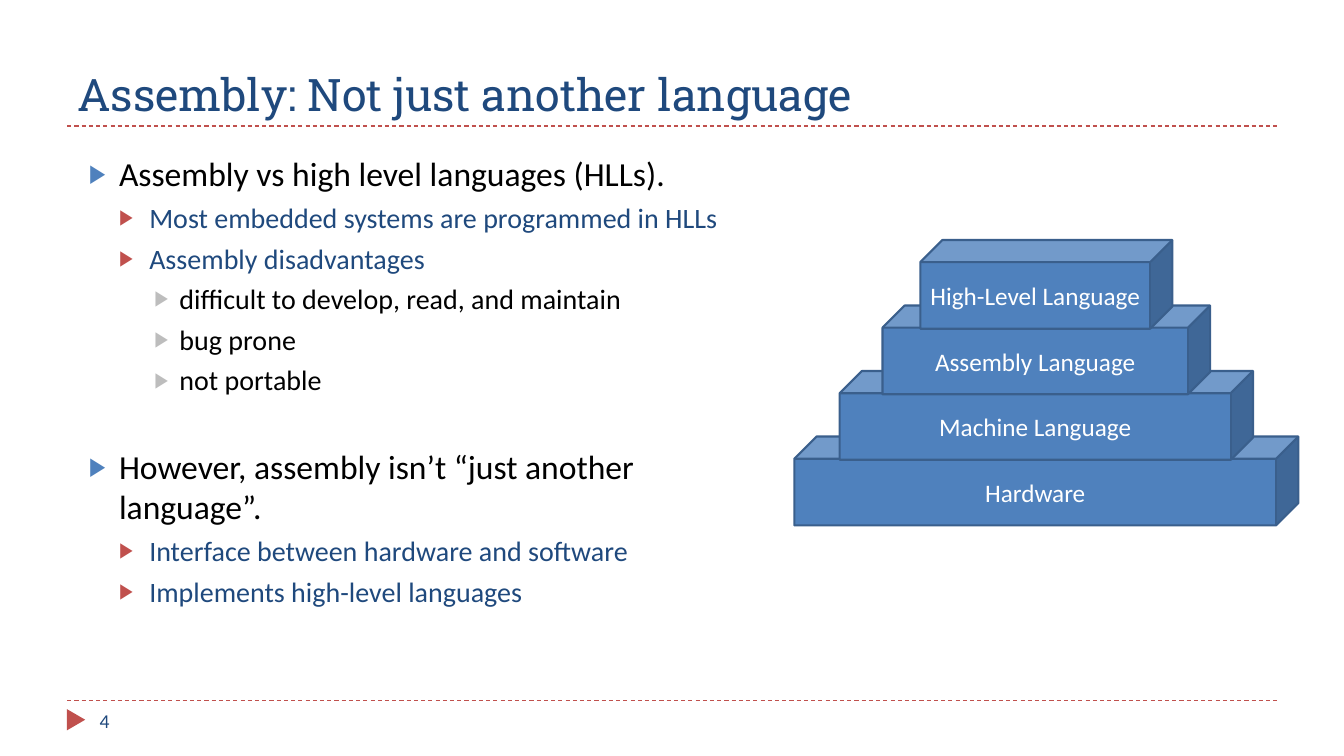
from lxml import etree
from pptx import Presentation
from pptx import util as u
from pptx.dml.color import RGBColor
from pptx.enum import dml, shapes, text
from pptx.oxml import ns

NAVY = RGBColor(0x1F, 0x49, 0x7D)
BLUE = RGBColor(0x4F, 0x81, 0xBD)
EDGE = RGBColor(0x3A, 0x5F, 0x8C)
RED = RGBColor(0xC0, 0x50, 0x4D)
GRAY = RGBColor(0xBD, 0xBD, 0xBD)
BLACK = RGBColor(0, 0, 0)
WHITE = RGBColor(0xFF, 0xFF, 0xFF)

TITLE = "Assembly: Not just another language"
OUTLINE = [
    (0, "Assembly vs high level languages (HLLs)."),
    (1, "Most embedded systems are programmed in HLLs"),
    (1, "Assembly disadvantages"),
    (2, "difficult to develop, read, and maintain"),
    (2, "bug prone"),
    (2, "not portable"),
    (0, "However, assembly isn’t “just another language”."),
    (1, "Interface between hardware and software"),
    (1, "Implements high-level languages"),
]
LEVELS = [
    {"size": 24, "color": BLACK, "bullet": BLUE, "margin": 21.6, "hang": 21.6, "before": 35.4},
    {"size": 20, "color": NAVY, "bullet": RED, "margin": 43.2, "hang": 21.6, "before": 5},
    {"size": 20, "color": BLACK, "bullet": GRAY, "margin": 64.8, "hang": 18, "before": 5},
]
PYRAMID = [
    ("Hardware", 360),
    ("Machine Language", 295.2),
    ("Assembly Language", 234),
    ("High-Level Language", 180),
]
PYRAMID_CENTER = 747.4
PYRAMID_BASE_TOP = 311.8
PYRAMID_STEP = 46.8
CUBE_HEIGHT = 63.4


def write(paragraph, words, size=18, color=BLACK, font="Calibri",
          align=text.PP_ALIGN.LEFT, before=0, bullet=None, margin=0, hang=0):
    paragraph.alignment = align
    paragraph.space_before = u.Pt(before)
    if bullet is not None:
        properties = paragraph._p.get_or_add_pPr()
        properties.set("marL", str(u.Pt(margin)))
        properties.set("indent", str(-u.Pt(hang)))
        bullet_color = etree.SubElement(properties, ns.qn("a:buClr"))
        etree.SubElement(bullet_color, ns.qn("a:srgbClr"), val=str(bullet))
        etree.SubElement(properties, ns.qn("a:buSzPct"), val="76000")
        etree.SubElement(properties, ns.qn("a:buChar"), char="▶")
    run = paragraph.add_run()
    run.text = words
    run.font.name = font
    run.font.size = u.Pt(size)
    run.font.color.rgb = color


class SlideBuilder:
    def __init__(self, slide):
        self.slide = slide

    def place(self, shape, left, top, width, height, anchor):
        shape.left, shape.top = u.Pt(left), u.Pt(top)
        shape.width, shape.height = u.Pt(width), u.Pt(height)
        frame = shape.text_frame
        frame.word_wrap = True
        frame.auto_size = text.MSO_AUTO_SIZE.NONE
        frame.vertical_anchor = anchor
        return frame

    def title(self, words):
        frame = self.place(self.slide.shapes.title, 48, 12, 864, 78, text.MSO_ANCHOR.BOTTOM)
        write(frame.paragraphs[0], words, size=32, color=NAVY, font="Roboto Slab")

    def outline(self, items):
        frame = self.place(self.slide.placeholders[1], 56.2, 105.8, 495.4, 383, text.MSO_ANCHOR.TOP)
        for index, (level, words) in enumerate(items):
            paragraph = frame.add_paragraph() if index else frame.paragraphs[0]
            paragraph.level = level
            style = dict(LEVELS[level])
            if index == 0:
                style["before"] = 0
            write(paragraph, words, **style)

    def rule(self, top):
        line = self.slide.shapes.add_connector(
            shapes.MSO_CONNECTOR.STRAIGHT, u.Pt(48), u.Pt(top), u.Pt(912), u.Pt(top))
        line.line.color.rgb = RED
        line.line.width = u.Pt(0.75)
        line.line.dash_style = dml.MSO_LINE.DASH
        etree.SubElement(line._element.spPr, ns.qn("a:effectLst"))

    def page_number(self, number):
        marker = self.slide.shapes.add_shape(
            shapes.MSO_SHAPE.ISOSCELES_TRIANGLE, u.Pt(46.8), u.Pt(507.6), u.Pt(15.1), u.Pt(13))
        marker.rotation = 90
        marker.shadow.inherit = False
        marker.fill.solid()
        marker.fill.fore_color.rgb = RED
        marker.line.fill.background()
        box = self.slide.shapes.add_textbox(0, 0, 0, 0)
        frame = self.place(box, 64.1, 500.4, 208, 28.8, text.MSO_ANCHOR.MIDDLE)
        write(frame.paragraphs[0], number, size=14, color=NAVY)

    def cube(self, group, words, left, top, width):
        cube = group.shapes.add_shape(shapes.MSO_SHAPE.CUBE, 0, 0, 0, 0)
        frame = self.place(cube, left, top, width, CUBE_HEIGHT, text.MSO_ANCHOR.MIDDLE)
        frame.margin_left = frame.margin_right = 0
        cube.shadow.inherit = False
        cube.fill.solid()
        cube.fill.fore_color.rgb = BLUE
        cube.line.color.rgb = EDGE
        cube.line.width = u.Pt(1.5)
        write(frame.paragraphs[0], words, color=WHITE, align=text.PP_ALIGN.CENTER)

    def pyramid(self, layers):
        cubes = []
        group = self.slide.shapes.add_group_shape()
        for index, (words, width) in enumerate(layers):
            self.cube(group, words, PYRAMID_CENTER - width / 2,
                      PYRAMID_BASE_TOP - index * PYRAMID_STEP, width)
        left = PYRAMID_CENTER - layers[0][1] / 2
        top = PYRAMID_BASE_TOP - (len(layers) - 1) * PYRAMID_STEP
        transform = group._element.grpSpPr.get_or_add_xfrm()
        for offset in (transform.find(ns.qn("a:off")), transform.find(ns.qn("a:chOff"))):
            offset.set("x", str(u.Pt(left)))
            offset.set("y", str(u.Pt(top)))
        height = PYRAMID_BASE_TOP + CUBE_HEIGHT - top
        for extent in (transform.find(ns.qn("a:ext")), transform.find(ns.qn("a:chExt"))):
            extent.set("cx", str(u.Pt(layers[0][1])))
            extent.set("cy", str(u.Pt(height)))


def main():
    presentation = Presentation()
    presentation.slide_width, presentation.slide_height = u.Pt(960), u.Pt(540)
    builder = SlideBuilder(presentation.slides.add_slide(presentation.slide_layouts[1]))
    builder.rule(500.4)
    builder.rule(90)
    builder.title(TITLE)
    builder.page_number("4")
    builder.outline(OUTLINE)
    builder.pyramid(PYRAMID)
    presentation.save("out.pptx")


if __name__ == "__main__":
    main()
